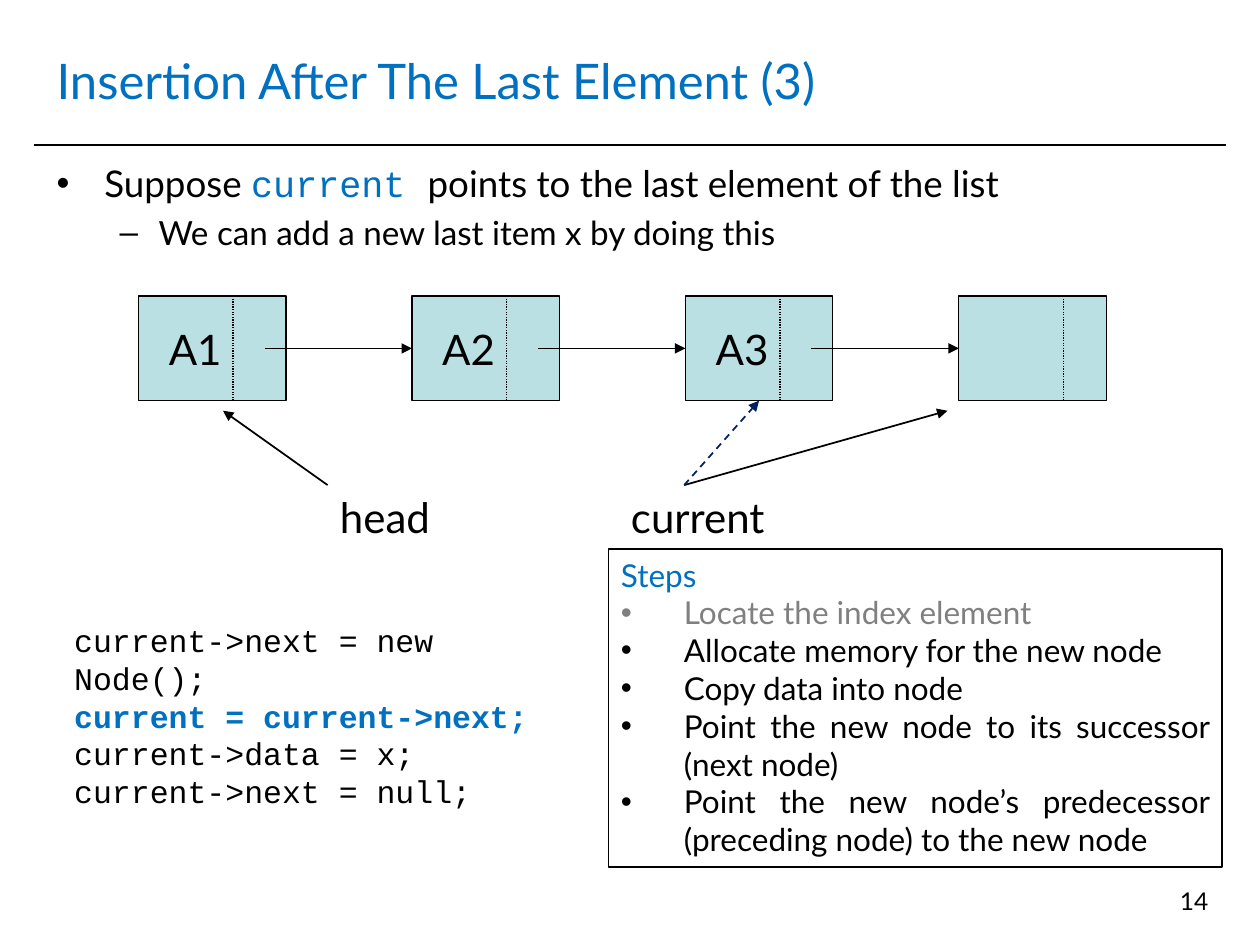
from dataclasses import dataclass

from lxml.etree import SubElement
from pptx import Presentation
from pptx.dml.color import RGBColor
from pptx.enum.dml import MSO_LINE
from pptx.enum.shapes import MSO_CONNECTOR, MSO_SHAPE
from pptx.enum.text import MSO_ANCHOR, PP_ALIGN
from pptx.oxml.ns import qn
from pptx.util import Inches, Pt


@dataclass(frozen=True)
class Theme:
    black: str = "000000"
    blue: str = "0070C0"
    navy: str = "002060"
    grey: str = "808080"
    node: str = "BBE0E3"
    sans: str = "Lato"
    mono: str = "Courier New"
    title: int = 28
    label: int = 24
    body: int = 21
    detail: int = 19
    text: int = 18
    small: int = 14


THEME = Theme()

TITLE = "Insertion After The Last Element (3)"
INTRO = [
    ("Suppose ", {}),
    ("current ", {"font": THEME.mono, "color": THEME.blue}),
    ("points to the last element of the list", {}),
]
DETAIL = "We can add a new last item x by doing this"
NODES = ["A1", "A2", "A3", ""]
LABELS = [("head", 2.6, 0.93), ("current", 4.91, 1.26)]
CODE = [
    ("current->next = new Node();", {}),
    ("current = current->next;", {"color": THEME.blue, "bold": True}),
    ("current->data = x;", {}),
    ("current->next = null;", {}),
]
STEPS = [
    ("Locate the index element", THEME.grey),
    ("Allocate memory for the new node", THEME.black),
    ("Copy data into node", THEME.black),
    ("Point the new node to its successor (next node)", THEME.black),
    ("Point the new node’s predecessor (preceding node) to the new node", THEME.black),
]
PAGE_NUMBER = "14"

# Node row, in inches
ROW_LEFT, ROW_TOP, PITCH = 1.1, 2.35, 2.17
NODE_WIDTH, NODE_HEIGHT = 1.17, 0.83
DATA_WIDTH, LAST_DATA_WIDTH, POINTER_START = 0.75, 0.83, 1.0
LABEL_TOP, POINTER_TIP = 3.85, 3.26


def add_text(para, text, size=THEME.text, color=THEME.black, font=THEME.sans, bold=False):
    span = para.add_run()
    span.text = text
    span.font.size = Pt(size)
    span.font.color.rgb = RGBColor.from_string(color)
    span.font.name = font
    span.font.bold = bold
    return span


def add_para(frame, align=PP_ALIGN.LEFT, before=0):
    """Return the frame's empty first paragraph, or a new one."""
    first = frame.paragraphs[0]
    para = frame.add_paragraph() if first.runs else first
    para.alignment = align
    para.space_before = Pt(before)
    return para


def set_bullet(para, mark, left, hanging, color):
    properties = para._p.get_or_add_pPr()
    properties.set("marL", str(Inches(left)))
    properties.set("indent", str(-Inches(hanging)))
    fill = SubElement(SubElement(properties, qn("a:buClr")), qn("a:srgbClr"))
    fill.set("val", color)
    SubElement(properties, qn("a:buFont")).set("typeface", "Arial")
    SubElement(properties, qn("a:buChar")).set("char", mark)


def add_box(page, left, top, width, height, wrap=True):
    box = page.shapes.add_textbox(*map(Inches, (left, top, width, height)))
    box.text_frame.word_wrap = wrap
    return box.text_frame


def add_rectangle(page, left, top, width, height, fill=None, weight=1):
    box = page.shapes.add_shape(
        MSO_SHAPE.RECTANGLE, *map(Inches, (left, top, width, height)))
    box.shadow.inherit = False
    if fill:
        box.fill.solid()
        box.fill.fore_color.rgb = RGBColor.from_string(fill)
    else:
        box.fill.background()
    box.line.color.rgb = RGBColor.from_string(THEME.black)
    box.line.width = Pt(weight)
    return box


def add_line(page, start, end, color=THEME.black, weight=1, dash=None, arrow=False):
    line = page.shapes.add_connector(
        MSO_CONNECTOR.STRAIGHT, *map(Inches, (*start, *end)))
    line.line.color.rgb = RGBColor.from_string(color)
    line.line.width = Pt(weight)
    if dash:
        line.line.dash_style = dash
    if arrow:
        tip = SubElement(line.line._get_or_add_ln(), qn("a:tailEnd"))
        tip.set("type", "triangle")
    SubElement(line._element.spPr, qn("a:effectLst"))
    return line


def add_heading(page):
    title = page.shapes.title
    title.left, title.top, title.width, title.height = map(Inches, (0.35, 0.21, 9.29, 0.85))
    title.text_frame.vertical_anchor = MSO_ANCHOR.MIDDLE
    add_text(add_para(title.text_frame), TITLE, size=THEME.title, color=THEME.blue)
    add_line(page, (0.27, 1.15), (9.73, 1.15))

    frame = add_box(page, 0.35, 1.23, 9.29, 0.91)
    para = add_para(frame, before=4)
    set_bullet(para, "•", 0.38, 0.38, THEME.black)
    for text, style in INTRO:
        add_text(para, text, size=THEME.body, **style)
    para = add_para(frame, before=4)
    set_bullet(para, "–", 0.81, 0.31, THEME.black)
    add_text(para, DETAIL, size=THEME.detail)


def add_nodes(page):
    boxes = []
    for index, name in enumerate(NODES):
        left = ROW_LEFT + index * PITCH
        box = add_rectangle(page, left, ROW_TOP, NODE_WIDTH, NODE_HEIGHT, THEME.node, 0.75)
        if name:
            frame = box.text_frame
            frame.margin_right = Inches(0.37)
            frame.vertical_anchor = MSO_ANCHOR.MIDDLE
            add_text(add_para(frame, PP_ALIGN.CENTER), name, size=THEME.label)
        divider = left + (DATA_WIDTH if name else LAST_DATA_WIDTH)
        add_line(page, (divider, ROW_TOP), (divider, ROW_TOP + NODE_HEIGHT),
                 weight=0.75, dash=MSO_LINE.ROUND_DOT)
        boxes.append(box)
    return boxes


def add_pointers(page, boxes):
    middle = ROW_TOP + NODE_HEIGHT / 2
    for index, target in enumerate(boxes[1:]):
        left = ROW_LEFT + index * PITCH
        arrow = add_line(page, (left + POINTER_START, middle), (left + PITCH, middle), arrow=True)
        arrow.end_connect(target, 1)

    for text, left, width in LABELS:
        frame = add_box(page, left, LABEL_TOP, width, 0.5, wrap=False)
        add_text(add_para(frame), text, size=THEME.label)
    current = (5.43, LABEL_TOP)
    add_line(page, (2.6, LABEL_TOP), (1.77, POINTER_TIP), arrow=True)
    add_line(page, current, (7.52, POINTER_TIP), arrow=True)
    previous = add_line(page, current, (6.02, ROW_TOP + NODE_HEIGHT),
                        color=THEME.navy, dash=MSO_LINE.DASH, arrow=True)
    previous.end_connect(boxes[2], 2)


def add_code_and_steps(page):
    frame = add_box(page, 0.49, 4.88, 4.02, 1.62)
    for text, style in CODE:
        add_text(add_para(frame), text, font=THEME.mono, **style)

    frame = add_rectangle(page, 4.83, 4.36, 4.87, 2.52).text_frame
    frame.word_wrap = True
    frame.vertical_anchor = MSO_ANCHOR.TOP
    add_text(add_para(frame), "Steps", color=THEME.blue)
    for text, color in STEPS:
        para = add_para(frame, PP_ALIGN.JUSTIFY)
        set_bullet(para, "•", 0.5, 0.5, color)
        add_text(para, text, color=color)


def main():
    deck = Presentation()
    deck.slide_width, deck.slide_height = Inches(10), Inches(7.5)
    page = deck.slides.add_slide(deck.slide_layouts[5])
    add_heading(page)
    add_code_and_steps(page)
    add_pointers(page, add_nodes(page))
    frame = add_box(page, 7.36, 6.98, 2.33, 0.52)
    add_text(add_para(frame, PP_ALIGN.RIGHT), PAGE_NUMBER, size=THEME.small)
    deck.save("out.pptx")


if __name__ == "__main__":
    main()
